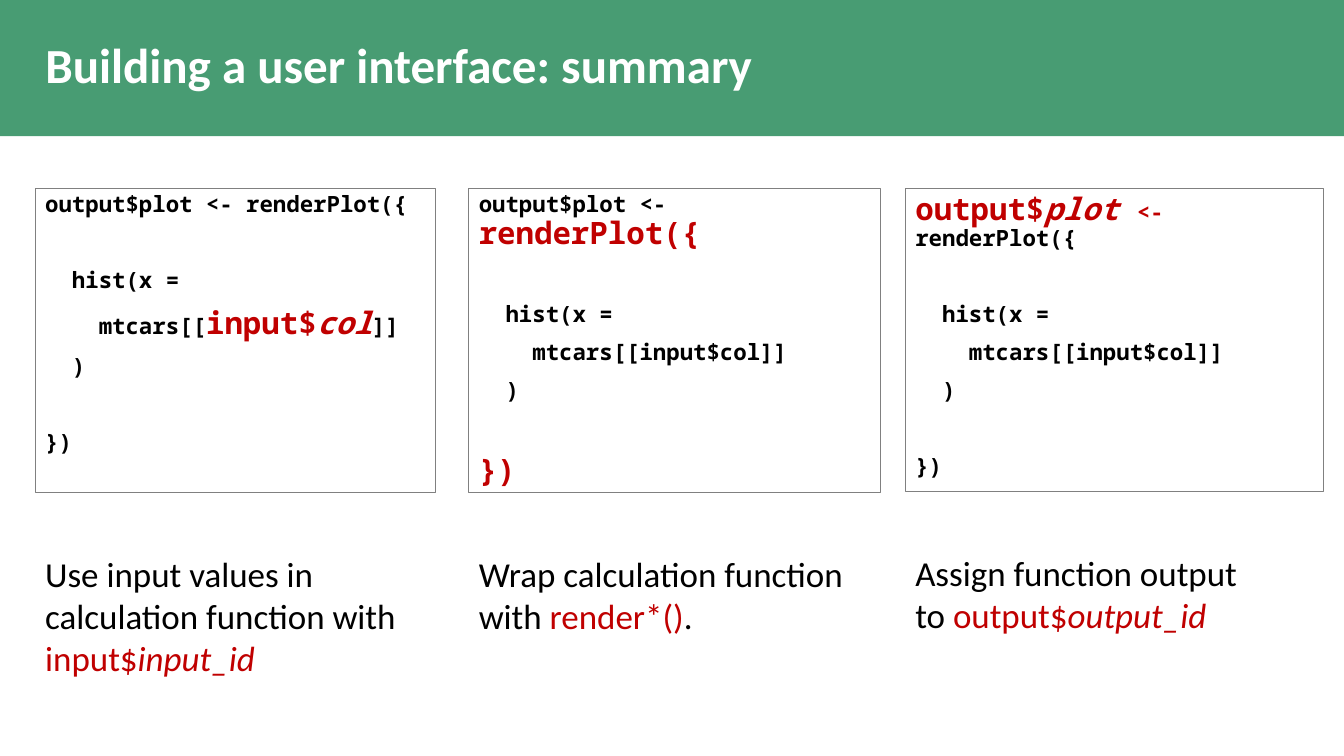
from pptx import Presentation
from pptx.dml.color import RGBColor
from pptx.enum.shapes import MSO_SHAPE
from pptx.enum.text import MSO_ANCHOR, PP_ALIGN
from pptx.util import Emu, Pt

PX = 9144
GREEN = RGBColor(0x48, 0x9C, 0x73)
GREY = RGBColor(0x80, 0x80, 0x80)
RED = RGBColor(0xC0, 0x00, 0x00)
BLACK = RGBColor(0x00, 0x00, 0x00)
WHITE = RGBColor(0xFF, 0xFF, 0xFF)

CODE_SIZE, KEY_SIZE, CAPTION_SIZE, TITLE_SIZE = 16, 22, 25, 35
LINE_GAP, BLOCK_GAP = 10, 37

PLAIN = (CODE_SIZE, BLACK, False)
ARROW = (CODE_SIZE, RED, False)
KEY = (KEY_SIZE, RED, False)
KEY_ID = (KEY_SIZE, RED, True)
NOTE = (CAPTION_SIZE, BLACK, False)
NOTE_KEY = (CAPTION_SIZE, RED, False)
NOTE_ID = (CAPTION_SIZE, RED, True)

STEPS = [
    {
        "box": (35, 187, 397, 302),
        "caption_box": (35, 543, 397, 136),
        "open": [("output$plot <- renderPlot({", PLAIN)],
        "column": [("    mtcars[[", PLAIN), ("input$", KEY), ("col", KEY_ID), ("]]", PLAIN)],
        "close": [("})", PLAIN)],
        "caption": [("Use input values in calculation function with ", NOTE),
                    ("input$", NOTE_KEY), ("input_id", NOTE_ID)],
    },
    {
        "box": (465, 187, 408, 302),
        "caption_box": (465, 543, 408, 94),
        "open": [("output$plot <- ", PLAIN), ("renderPlot({", KEY)],
        "column": [("    mtcars[[input$col]]", PLAIN)],
        "close": [("})", KEY)],
        "caption": [("Wrap calculation function with ", NOTE),
                    ("render*()", NOTE_KEY), (".", NOTE)],
    },
    {
        "box": (898, 187, 415, 301),
        "caption_box": (898, 542, 367, 94),
        "open": [("output$", KEY), ("plot ", KEY_ID), ("<- ", ARROW), ("renderPlot({", PLAIN)],
        "column": [("    mtcars[[input$col]]", PLAIN)],
        "close": [("})", PLAIN)],
        "caption": [("Assign function output to ", NOTE),
                    ("output$", NOTE_KEY), ("output_id", NOTE_ID)],
    },
]


def scaled(box):
    return [Emu(length * PX) for length in box]


def fill_spans(para, spans, font_name, bold):
    for text, (size, color, italic) in spans:
        span = para.add_run()
        span.text = text
        span.font.name = font_name
        span.font.size = Pt(size)
        span.font.bold = bold
        span.font.italic = italic
        span.font.color.rgb = color


def add_header(page, box):
    left, top, width, height = box
    banner = page.shapes.add_shape(MSO_SHAPE.RECTANGLE, *scaled(box))
    banner.shadow.inherit = False
    banner.fill.solid()
    banner.fill.fore_color.rgb = GREEN
    banner.line.fill.background()

    title = page.shapes.title
    title.element.addprevious(banner.element)
    title.left, title.top, title.width, title.height = scaled(
        (left + 38, top + 14, width - 129, height - 27))
    frame = title.text_frame
    frame.text = "Building a user interface: summary"
    frame.vertical_anchor = MSO_ANCHOR.MIDDLE
    para = frame.paragraphs[0]
    para.alignment = PP_ALIGN.LEFT
    para.line_spacing = 0.9
    font = para.runs[0].font
    font.name = "Calibri"
    font.size = Pt(TITLE_SIZE)
    font.bold = True
    font.color.rgb = WHITE


def add_code(page, step):
    panel = page.shapes.add_shape(MSO_SHAPE.RECTANGLE, *scaled(step["box"]))
    panel.shadow.inherit = False
    panel.fill.background()
    panel.line.color.rgb = GREY
    panel.line.width = Pt(0.75)
    frame = panel.text_frame
    frame.word_wrap = True
    frame.vertical_anchor = MSO_ANCHOR.TOP
    lines = [
        (step["open"], 0),
        ([("  hist(x =", PLAIN)], BLOCK_GAP),
        (step["column"], LINE_GAP),
        ([("  )", PLAIN)], LINE_GAP),
        (step["close"], BLOCK_GAP),
    ]
    for index, (spans, gap) in enumerate(lines):
        para = frame.add_paragraph() if index else frame.paragraphs[0]
        para.alignment = PP_ALIGN.LEFT
        para.line_spacing = 0.9
        para.space_before = Pt(gap)
        fill_spans(para, spans, "Noto Sans Mono", True)


def add_caption(page, step):
    caption = page.shapes.add_textbox(*scaled(step["caption_box"]))
    caption.text_frame.word_wrap = True
    fill_spans(caption.text_frame.paragraphs[0], step["caption"], "Calibri", False)


def main():
    deck = Presentation()
    deck.slide_width, deck.slide_height = Emu(1333 * PX), Emu(750 * PX)
    page = deck.slides.add_slide(deck.slide_layouts[5])
    add_header(page, (-3, -2, 1341, 137))
    for step in STEPS:
        add_code(page, step)
        add_caption(page, step)
    deck.save("out.pptx")


if __name__ == "__main__":
    main()
